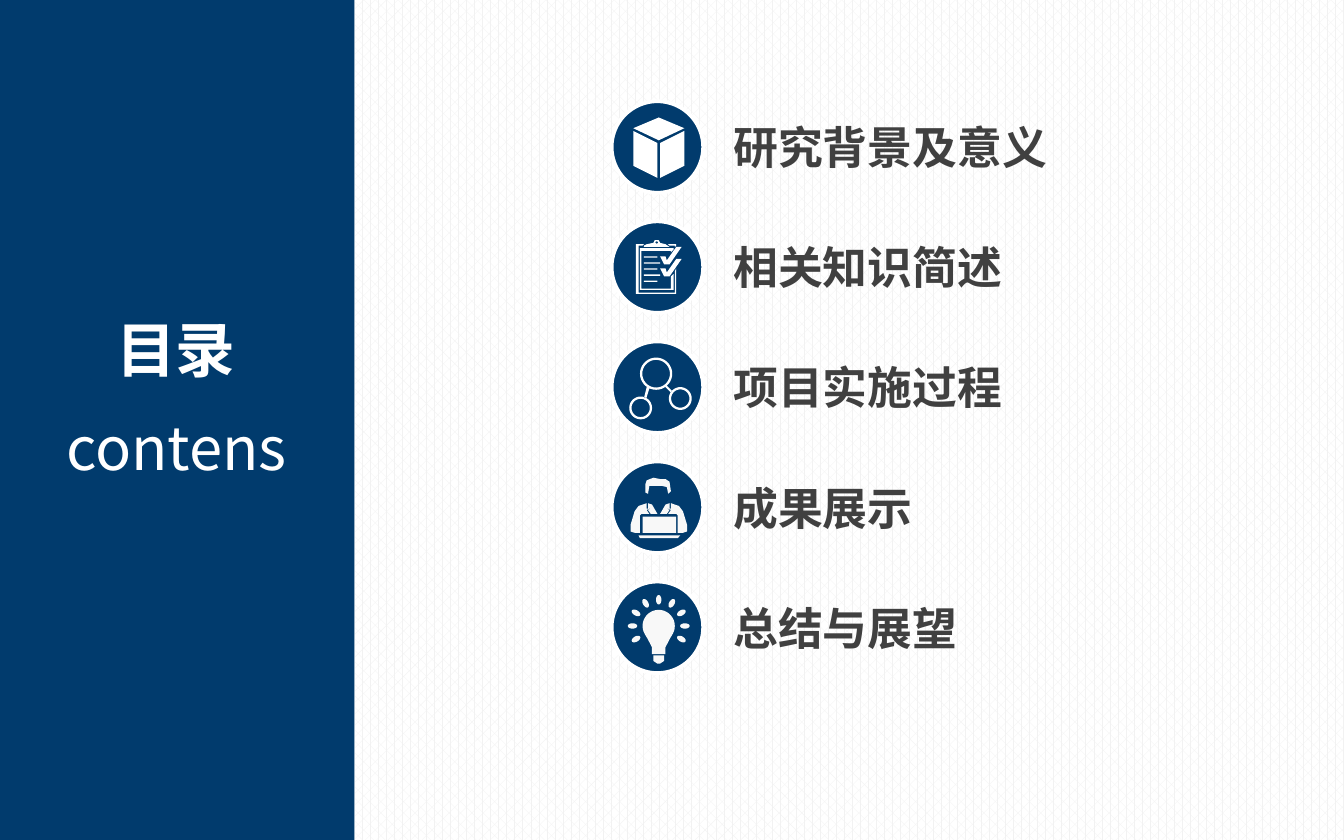
"""Build a contents slide with a title panel and five icon rows."""
from dataclasses import dataclass
from math import cos, radians, sin

from lxml.etree import SubElement
from pptx import Presentation
from pptx.dml.color import RGBColor
from pptx.enum.dml import MSO_PATTERN
from pptx.enum.shapes import MSO_SHAPE
from pptx.enum.text import MSO_ANCHOR, MSO_AUTO_SIZE, PP_ALIGN
from pptx.oxml.ns import qn
from pptx.util import Cm, Pt


@dataclass(frozen=True)
class Theme:
    font: str = "Noto Sans CJK SC"
    navy: RGBColor = RGBColor(0x01, 0x3B, 0x6D)
    white: RGBColor = RGBColor(0xFF, 0xFF, 0xFF)
    soft_white: RGBColor = RGBColor(0xF8, 0xF8, 0xF8)
    pattern: RGBColor = RGBColor(0xF2, 0xF2, 0xF2)
    text: RGBColor = RGBColor(0x40, 0x40, 0x40)
    heading_size: int = 32
    label_size: int = 24


THEME = Theme()
ICON_GRAIN = 100
ICON_SCALE = Cm(2.54) / (100 * ICON_GRAIN)


def rectangle(left, top, right, bottom):
    return [(left, top), (right, top), (right, bottom), (left, bottom)]


def oval(x, y, width, height, turn=0, start=0, sweep=360):
    slant = radians(turn)
    points = []
    for degree in range(start, start + sweep + 1, 10):
        across = width * cos(radians(degree))
        down = height * sin(radians(degree))
        points.append((x + across * cos(slant) - down * sin(slant),
                       y + across * sin(slant) + down * cos(slant)))
    return points


def ring(x, y, radius):
    return [oval(x, y, size, size) for size in (radius, radius - 1.7)]


def both_sides(outline, axis=1):
    return [outline, [(2 * axis - x, y) for x, y in outline]]


def shifted(outline, down):
    return [(x, y + down) for x, y in outline]


def ray(degree):
    angle = radians(degree)
    return oval(1 + 19.5 * cos(angle), -1 + 19.5 * sin(angle), 3.5, 2, degree)


CUBE = both_sides([(0, -3), (-18, -12), (-18, 14), (0, 23)]) + [
    [(1, -22), (-18, -14), (1, -5), (20, -14)]]

TICK = [(18, -15), (9, -2), (5, -2), (2, -8), (6, -8), (7, -5), (14, -15)]
CLIPBOARD = [
    [(13, 19), (-14, 19), (-14, -16), (-11, -16), (-10, -17), (-16, -17),
     (-16, 20), (14, 20), (14, 1), (13, 3)],
    [(10, 16), (-12, 16), (-12, -12), (10, -12), (10, -11), (12, -13),
     (12, -14), (-13, -14), (-13, 17), (12, 17), (12, 5), (10, 7)],
    [(-10, -15), (-10, -16), (-8, -17), (-3, -18), (-2, -20), (1, -20),
     (2, -18), (6, -17), (9, -15)],
    [(14, -16), (14, -17), (8, -17), (9, -16), (13, -16), (13, -15)],
    oval(-0.5, -18.3, 1, 0.8),
    TICK, shifted(TICK, 9),
] + [rectangle(-10, top, right, top + 1)
     for top, right in ((-8, 0), (-3.5, 2), (1, 0), (5.5, 2), (10, 0))]

MOLECULE = ring(-1, -10, 12) + ring(-12.5, 15.5, 8.5) + ring(17, 8.5, 8.5) + [
    [(-8, 0), (-10, 8), (-8.3, 8.3), (-6, 1)],
    [(7, -1), (11, 3), (10, 4), (6, 0)]]

PERSON = [
    [(-7, -10), (-6, -16), (3, -16), (7, -15), (8, -10), (10, -12), (9, -19),
     (6, -21), (2, -21), (-3, -22), (-8, -20), (-9, -17), (-9, -11)],
    rectangle(-11, 7, 14, 19),
    [(-14, 21), (17, 21), (15, 23), (-13, 23)],
] + both_sides(
    [(-13, 19), (-17, 19), (-20, 18), (-20, 13), (-17, 3), (-14, -1),
     (-8, -3), (-8, 1), (-6, 1), (-8, 2), (-6, 5), (-12, 5), (-13, 6)]
) + both_sides(
    [(-7, -3), (-7, 1), (-5, 1), (-7, 2), (-5, 5), (0, 5), (-4, -2)])

BULB = [
    oval(1, -1, 12, 12, start=150, sweep=240)
    + [(9, 9), (6, 15), (6, 20), (-4, 20), (-4, 15), (-7, 9)],
    [(-3, 21), (5, 21), (5, 25), (2, 27), (0, 27), (-3, 25)],
] + [ray(degree) for degree in range(150, 391, 30)]

ROWS = [
    ("研究背景及意义", CUBE, THEME.white),
    ("相关知识简述", CLIPBOARD, THEME.white),
    ("项目实施过程", MOLECULE, THEME.white),
    ("成果展示", PERSON, THEME.soft_white),
    ("总结与展望", BULB, THEME.soft_white),
]
HEADING = "目录"
SUBHEADING = "contens"
FIRST_CENTER, ROW_PITCH = 2.78, 2.27
CIRCLE_LEFT, CIRCLE_SIZE = 11.56, 1.73
LABEL_LEFT, LABEL_HEIGHT, GLYPH_WIDTH = 13.61, 1.27, 0.85


def place(box, left, top, width, height):
    box.left, box.top = Cm(left), Cm(top)
    box.width, box.height = Cm(width), Cm(height)


def write(box, text, size, color, bold=False, align=PP_ALIGN.LEFT):
    frame = box.text_frame
    frame.word_wrap = False
    frame.auto_size = MSO_AUTO_SIZE.SHAPE_TO_FIT_TEXT
    frame.vertical_anchor = MSO_ANCHOR.TOP
    para = frame.paragraphs[0]
    para.alignment = align
    span = para.add_run()
    span.text = text
    span.font.size, span.font.bold = Pt(size), bold
    span.font.name = THEME.font
    span.font.color.rgb = color
    SubElement(span.font._element, qn("a:ea"), typeface=THEME.font)


def paint(shape, color, border=None):
    shape.shadow.inherit = False
    shape.fill.solid()
    shape.fill.fore_color.rgb = color
    if border is None:
        shape.line.fill.background()
    else:
        shape.line.color.rgb = border
        shape.line.width = Pt(2)


def draw_icon(page, outlines, center_x, center_y, color):
    grains = [[(x * ICON_GRAIN, y * ICON_GRAIN) for x, y in outline]
              for outline in outlines]
    builder = page.shapes.build_freeform(*grains[0][0], scale=ICON_SCALE)
    for number, outline in enumerate(grains):
        if number:
            builder.move_to(*outline[0])
        builder.add_line_segments(outline[1:], close=True)
    paint(builder.convert_to_shape(Cm(center_x), Cm(center_y)), color)


def draw_panel(page):
    panel = page.shapes.add_shape(MSO_SHAPE.RECTANGLE, 0, 0, Cm(6.7), Cm(15.88))
    paint(panel, THEME.navy)
    title = page.shapes.title
    panel._element.getparent().insert(2, panel._element)
    place(title, 1.93, 5.79, 2.79, 1.63)
    write(title, HEADING, THEME.heading_size, THEME.white, True, PP_ALIGN.CENTER)
    box = page.shapes.add_textbox(Cm(0.94), Cm(7.65), Cm(4.8), Cm(1.63))
    write(box, SUBHEADING, THEME.heading_size, THEME.white, align=PP_ALIGN.CENTER)


def draw_row(page, number, label, icon, color):
    center = FIRST_CENTER + number * ROW_PITCH
    circle = page.shapes.add_shape(
        MSO_SHAPE.OVAL, Cm(CIRCLE_LEFT), Cm(center - CIRCLE_SIZE / 2),
        Cm(CIRCLE_SIZE), Cm(CIRCLE_SIZE))
    paint(circle, THEME.navy, border=THEME.white)
    draw_icon(page, icon, CIRCLE_LEFT + CIRCLE_SIZE / 2, center, color)
    box = page.shapes.add_textbox(
        Cm(LABEL_LEFT), Cm(center - LABEL_HEIGHT / 2),
        Cm(GLYPH_WIDTH * len(label) + 0.5), Cm(LABEL_HEIGHT))
    write(box, label, THEME.label_size, THEME.text, bold=True)


def main():
    deck = Presentation()
    deck.slide_width, deck.slide_height = Cm(25.4), Cm(15.88)
    page = deck.slides.add_slide(deck.slide_layouts[5])
    backdrop = page.background.fill
    backdrop.patterned()
    backdrop.pattern = MSO_PATTERN.PERCENT_60
    backdrop.fore_color.rgb = THEME.pattern
    backdrop.back_color.rgb = THEME.white
    draw_panel(page)
    for number, row in enumerate(ROWS):
        draw_row(page, number, *row)
    deck.save("out.pptx")


if __name__ == "__main__":
    main()
